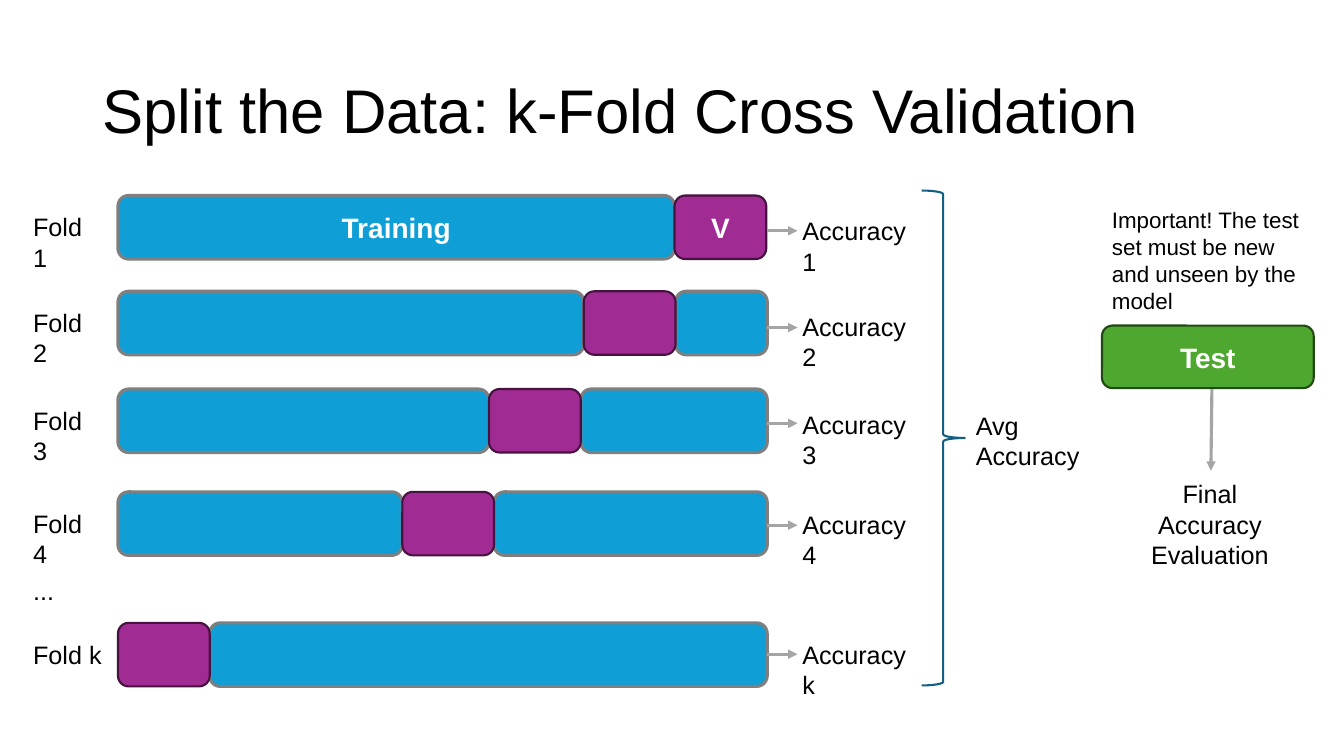
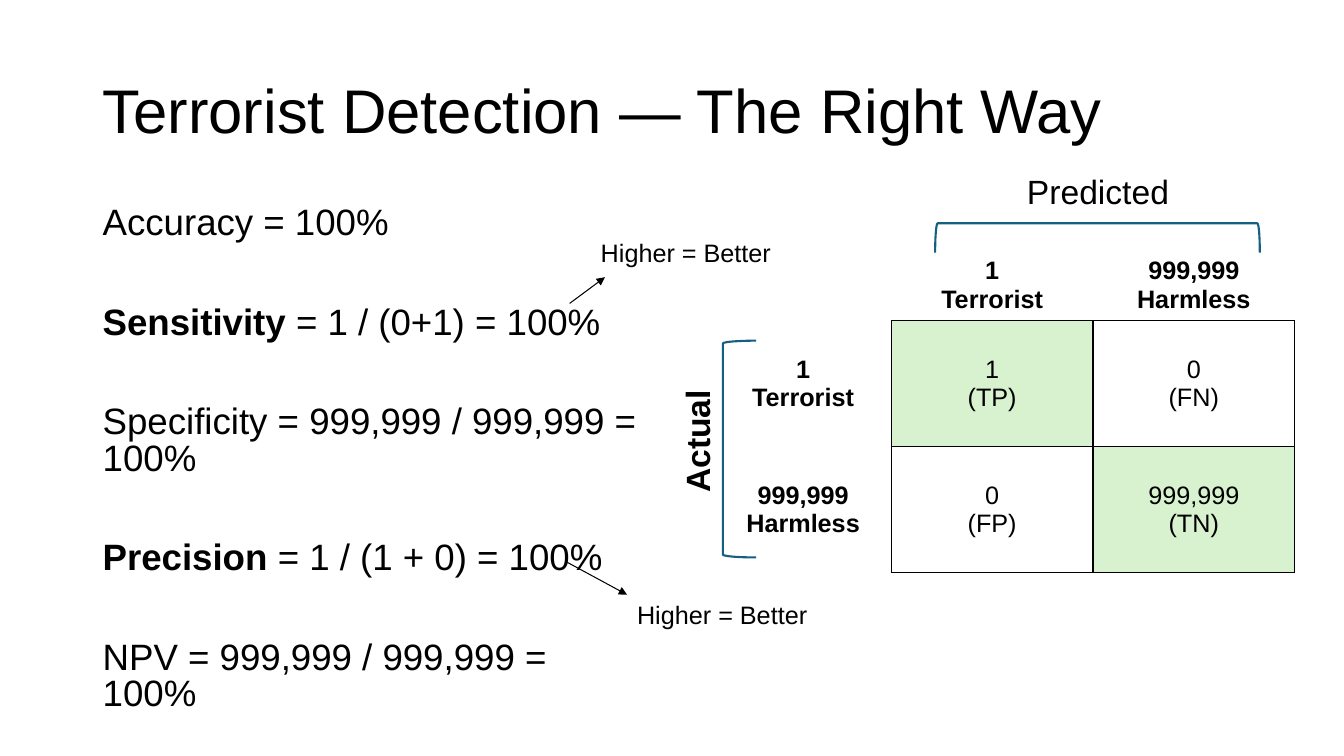
from lxml.etree import SubElement
from pptx import Presentation
from pptx.dml.color import RGBColor
from pptx.enum.shapes import MSO_CONNECTOR, MSO_SHAPE
from pptx.enum.text import MSO_ANCHOR, PP_ALIGN
from pptx.oxml.ns import qn
from pptx.util import Emu, Pt

PX = 9144
COLORS = {
    "text": "000000", "light": "FFFFFF", "train": "0F9ED5", "train_edge": "7F7F7F",
    "valid": "A02B93", "valid_edge": "461240", "test": "4EA72E", "test_edge": "224914",
    "arrow": "A5A5A5", "bracket": "156082", "correct": "D8F2CF",
}
TITLE = {"size": 44}
BODY = {"size": 26.2}
AXIS = {"size": 24}
LABEL = {"size": 18}
NOTE = {"size": 16}
BLOCK = {"size": 20, "bold": True, "color": "light"}
CENTER = {"alignment": PP_ALIGN.CENTER}
NO_STYLE = "{2D5ABB26-0587-4C30-8999-92F81FD0307C}"


def px(*values):
    return [Emu(v * PX) for v in values]


def rgb(name):
    return RGBColor.from_string(COLORS[name])


def apply(obj, values):
    for key, value in values.items():
        setattr(obj, key, value)


def add_run(p, text, fmt):
    r = p.add_run()
    r.text = text
    apply(r.font, {"name": "Arial", "size": Pt(fmt["size"]), "bold": fmt.get("bold", False)})
    r.font.color.rgb = rgb(fmt.get("color", "text"))


def write(tf, lines, fmt, para=None):
    for i, line in enumerate(lines):
        p = tf.paragraphs[0] if i == 0 else tf.add_paragraph()
        apply(p, para or {})
        add_run(p, line, fmt)


def add_text(s, box, lines, fmt, para=None, anchor=MSO_ANCHOR.TOP):
    sp = s.shapes.add_textbox(*px(*box))
    apply(sp.text_frame, {"word_wrap": True, "vertical_anchor": anchor})
    write(sp.text_frame, lines, fmt, para)
    return sp


def add_block(s, box, kind, text=""):
    sp = s.shapes.add_shape(MSO_SHAPE.ROUNDED_RECTANGLE, *px(*box))
    sp.shadow.inherit = False
    sp.fill.solid()
    sp.fill.fore_color.rgb = rgb(kind)
    sp.line.color.rgb = rgb(kind + "_edge")
    sp.line.width = Pt(2.25 if kind == "train" else 1.5)
    if text:
        sp.text_frame.vertical_anchor = MSO_ANCHOR.MIDDLE
        write(sp.text_frame, [text], BLOCK, CENTER)


def add_bracket(s, shape, box, rotation=0):
    sp = s.shapes.add_shape(shape, *px(*box))
    sp.shadow.inherit = False
    sp.fill.background()
    sp.line.color.rgb = rgb("bracket")
    apply(sp.line, {"width": Pt(1.5)})
    sp.rotation = rotation


def add_arrow(s, ends, color, width):
    c = s.shapes.add_connector(MSO_CONNECTOR.STRAIGHT, *px(*ends))
    c.line.color.rgb = rgb(color)
    c.line.width = Pt(width)
    SubElement(c.line._get_or_add_ln(), qn("a:tailEnd"), type="triangle")
    SubElement(c._element.spPr, qn("a:effectLst"))


def add_title(s, text):
    add_text(s, (92, 40, 1150, 145), [text], TITLE, {"line_spacing": 0.9}, MSO_ANCHOR.MIDDLE)


def fold_row(s, x, y, name, valid, accuracy_y, arrow_y):
    bar, width, height, valid_width = x + 94, 644, 63, 91
    after = valid + valid_width
    first = name == "1"
    if valid:
        add_block(s, (bar, y, valid, height), "train", "Training" if first else "")
    if after < width - 1:
        add_block(s, (bar + after, y, width - after, height), "train")
    add_block(s, (bar + valid, y, valid_width, height), "valid", "V" if first else "")
    add_text(s, (x, y + 11, 101 if name == "k" else 87, 40), [f"Fold {name}"], LABEL)
    add_arrow(s, (bar + width, y + arrow_y, bar + width + 30, y + arrow_y), "arrow", 2.25)
    add_text(s, (x + 763, y + accuracy_y, 140, 70), [f"Accuracy {name}"], LABEL)


def fold_chart(s, x, y):
    rows = [
        ("1", 0, 552, 15, 35), ("2", 95, 462, 15, 36), ("3", 192, 368, 15, 34),
        ("4", 294, 282, 12, 33), ("k", 424, 0, 11, 31),
    ]
    for name, top, valid, accuracy_y, arrow_y in rows:
        fold_row(s, x, y + top, name, valid, accuracy_y, arrow_y)
    add_text(s, (x, y + 372, 87, 40), ["..."], LABEL)
    add_bracket(s, MSO_SHAPE.RIGHT_BRACE, (x + 891, y - 5, 43, 491))
    add_text(s, (x + 935, y + 208, 140, 70), ["Avg", "Accuracy"], LABEL)


def test_panel(s, x, y):
    add_text(s, (x, y, 211, 143), ["Important! The test set must be new and unseen by the model"], NOTE)
    add_block(s, (x, y + 123, 210, 62), "test", "Test")
    add_arrow(s, (x + 109, y + 186, x + 108, y + 267), "arrow", 2.25)
    add_text(s, (x + 37, y + 270, 140, 130), ["Final", "Accuracy", "Evaluation"], LABEL, CENTER)


def metrics(s, x, y):
    lines = [
        ("", "Accuracy = 100%"), ("Sensitivity", " = 1 / (0+1) = 100%"),
        ("", "Specificity = 999,999 / 999,999 = 100%"),
        ("Precision", " = 1 / (1 + 0) = 100%"), ("", "NPV = 999,999 / 999,999 = 100%"),
    ]
    tf = add_text(s, (x, y, 551, 510), [], BODY).text_frame
    for i, (term, rest) in enumerate(lines):
        p = tf.add_paragraph() if i else tf.paragraphs[0]
        apply(p, {"line_spacing": 0.83, "space_before": Pt(45 if i else 0)})
        if term:
            add_run(p, term, {**BODY, "bold": True})
        add_run(p, rest, BODY)
    hints = [((494, 31), (473, 101, 508, 75)), ((530, 390), (469, 357, 530, 390))]
    for (left, top), (x1, y1, x2, y2) in hints:
        add_text(s, (x + left, y + top, 189, 70), ["Higher = Better"], LABEL)
        add_arrow(s, (x + x1, y + y1, x + x2, y + y2), "text", 0.75)


def outline(cell):
    tc = cell._tc.get_or_add_tcPr()
    for side in ("lnL", "lnR", "lnT", "lnB"):
        ln = SubElement(tc, qn("a:" + side), w=str(Pt(0.96)))
        fill = SubElement(ln, qn("a:solidFill"))
        SubElement(fill, qn("a:srgbClr"), val=COLORS["text"])


def confusion_matrix(s, x, y):
    cells = [
        ["", "1\nTerrorist", "999,999\nHarmless"],
        ["1\nTerrorist", "1\n(TP)", "0\n(FN)"],
        ["999,999\nHarmless", "0\n(FP)", "999,999\n(TN)"],
    ]
    widths, heights = px(175, 200, 200), px(65, 125, 125)
    table = s.shapes.add_table(3, 3, *px(x, y), sum(widths), sum(heights)).table
    apply(table, {"first_row": False, "horz_banding": False})
    table._tbl.tblPr.find(qn("a:tableStyleId")).text = NO_STYLE
    for i in range(3):
        table.columns[i].width = widths[i]
        table.rows[i].height = heights[i]
        for j in range(3):
            cell = table.cell(i, j)
            value = i > 0 and j > 0
            cell.vertical_anchor = MSO_ANCHOR.MIDDLE
            if value:
                outline(cell)
            if value and i == j:
                cell.fill.solid()
                cell.fill.fore_color.rgb = rgb("correct")
            else:
                cell.fill.background()
            if cells[i][j]:
                write(cell.text_frame, cells[i][j].split("\n"), {**LABEL, "bold": not value}, CENTER)
    add_text(s, (x + 264, y - 83, 232, 50), ["Predicted"], AXIS, CENTER)
    add_bracket(s, MSO_SHAPE.LEFT_BRACKET, (x + 365, y - 173, 29, 322), 90)
    actual = add_text(s, (x - 134, y + 165, 232, 50), ["Actual"], {**AXIS, "bold": True}, CENTER)
    actual.rotation = 270
    add_bracket(s, MSO_SHAPE.LEFT_BRACKET, (x + 8, y + 90, 33, 215))


def cross_validation_slide(prs):
    s = prs.slides.add_slide(prs.slide_layouts[6])
    add_title(s, "Split the Data: k-Fold Cross Validation")
    fold_chart(s, 23, 194)
    test_panel(s, 1093, 200)


def detection_slide(prs):
    s = prs.slides.add_slide(prs.slide_layouts[6])
    add_title(s, "Terrorist Detection — The Right Way")
    metrics(s, 92, 200)
    confusion_matrix(s, 709, 248)


def main():
    prs = Presentation()
    prs.slide_width, prs.slide_height = px(1333, 750)
    cross_validation_slide(prs)
    detection_slide(prs)
    prs.save("out.pptx")


if __name__ == "__main__":
    main()
